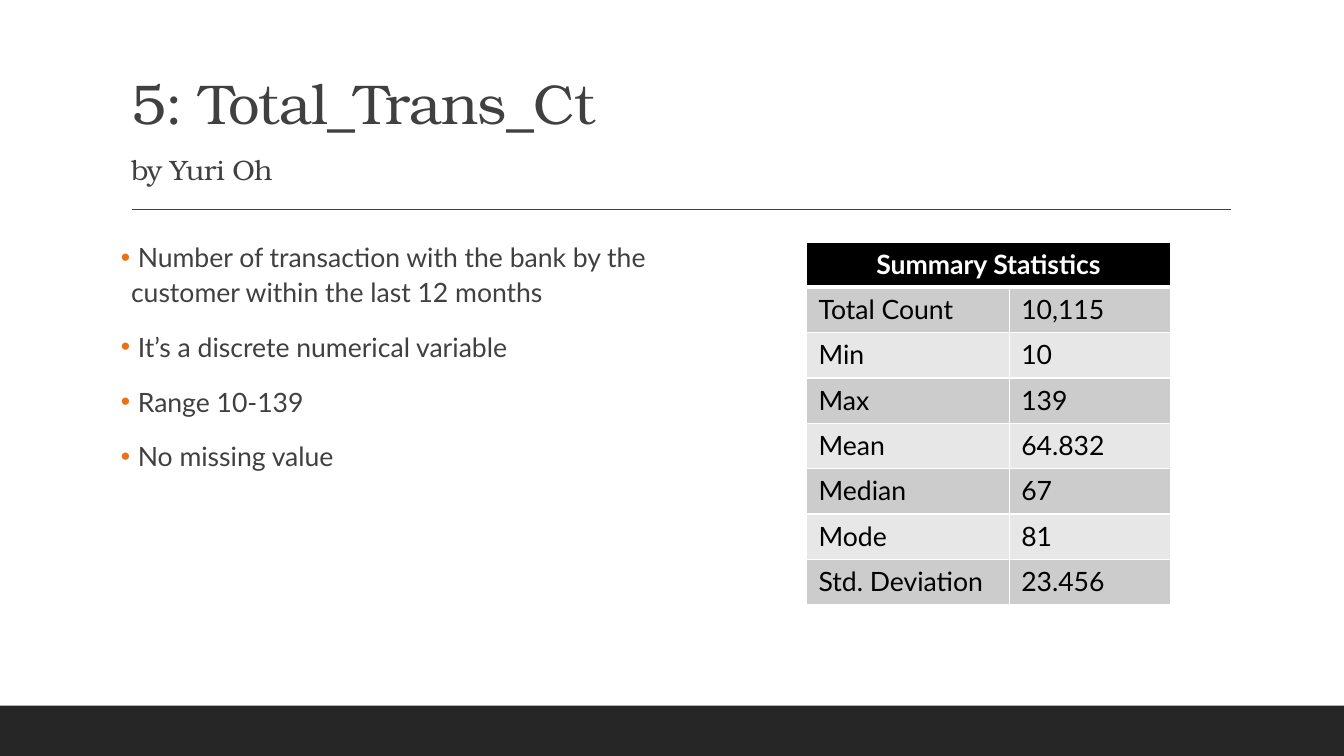
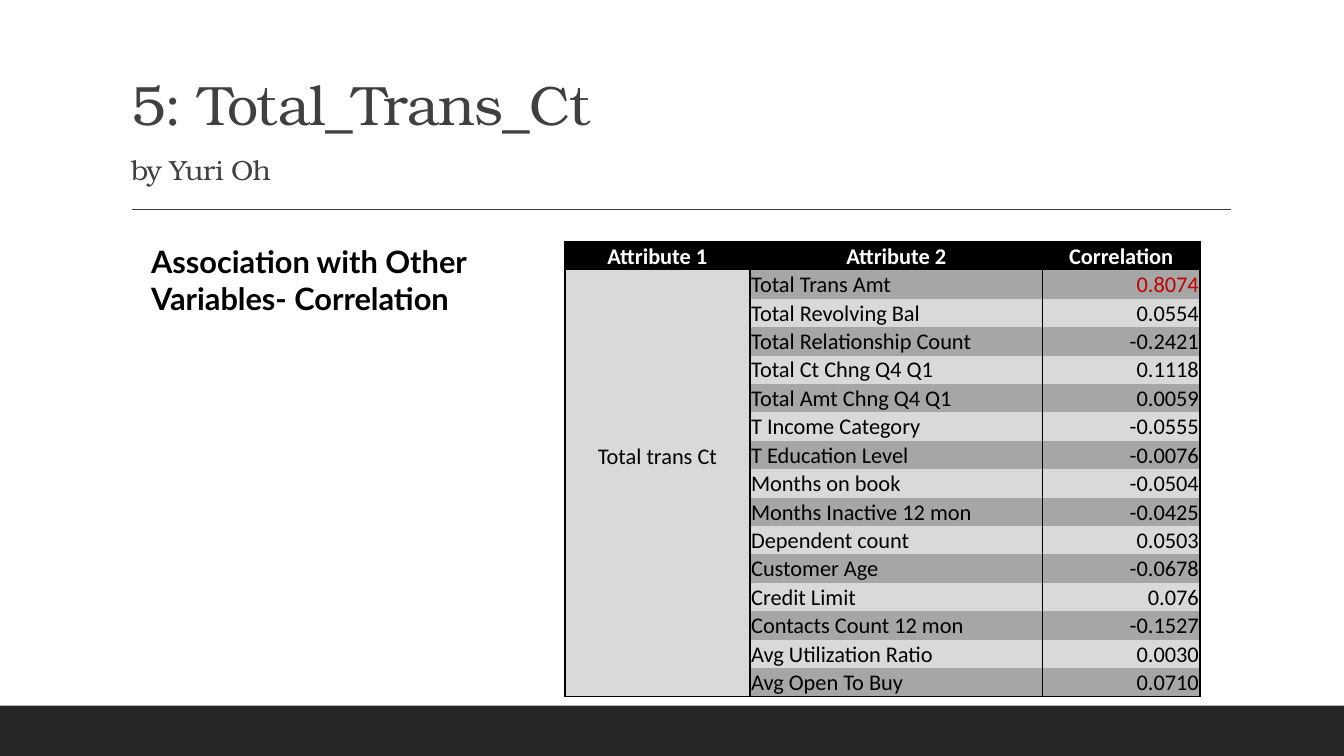
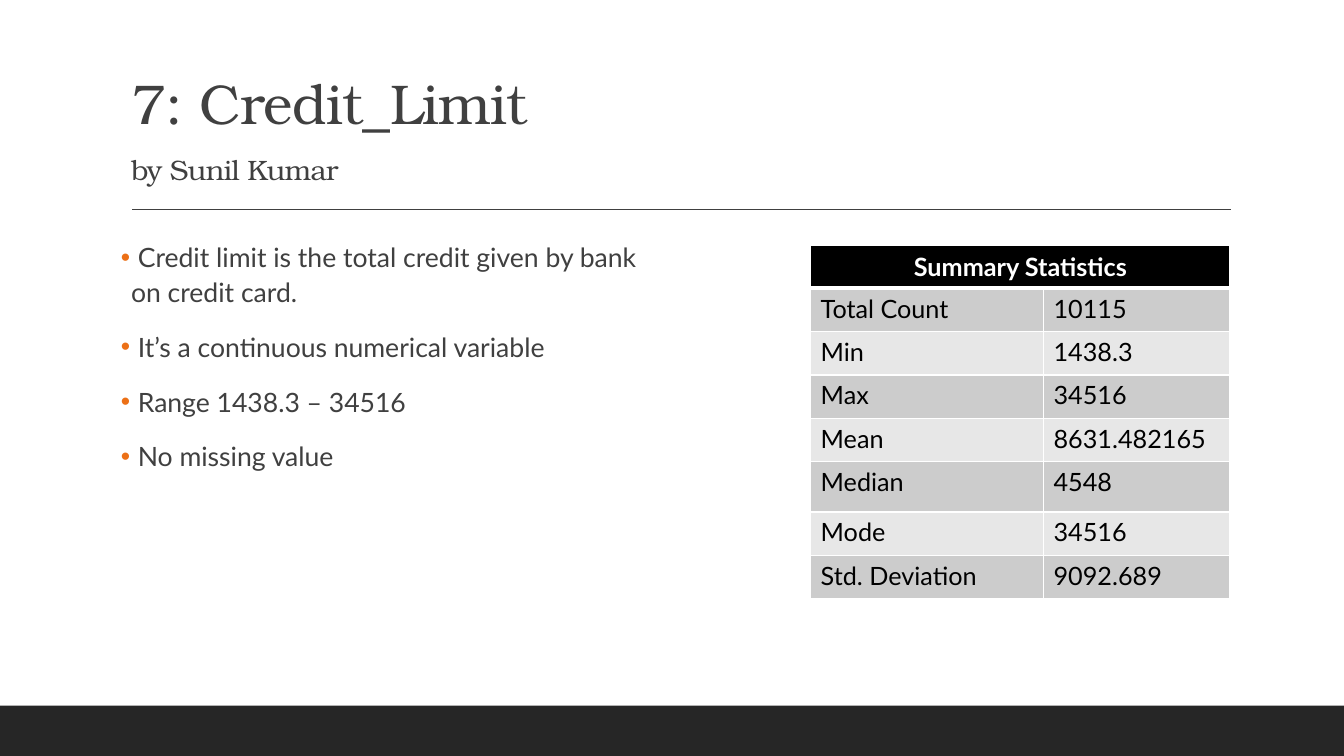
from copy import deepcopy

from lxml.etree import SubElement
from pptx import Presentation
from pptx.dml.color import RGBColor
from pptx.enum.shapes import MSO_CONNECTOR, MSO_SHAPE
from pptx.enum.text import MSO_ANCHOR, MSO_AUTO_SIZE, PP_ALIGN
from pptx.oxml.ns import qn
from pptx.util import Inches, Pt

COLORS = {
    "band": "262626", "text": "404040", "bullet": "EC7016",
    "black": "000000", "white": "FFFFFF", "red": "C00000",
    "stat_odd": "CCCCCC", "stat_even": "E7E7E7",
    "corr_odd": "A6A6A6", "corr_even": "D9D9D9",
}
SERIF, SANS, TABLE_SANS = "TeX Gyre Bonum", "Lato", "Calibri"
TITLE_ONLY, TITLE_BODY = 5, 1
NO_TABLE_STYLE = "{2D5ABB26-0587-4C30-8999-92F81FD0307C}"
MARGINS = ("margin_left", "margin_top", "margin_right", "margin_bottom")


def rgb(name):
    return RGBColor.from_string(COLORS[name])


def box(*lengths):
    return [Inches(n) for n in lengths]


class Deck:
    """Shared style and the slide being built."""

    def __init__(self):
        self.prs = Presentation()
        self.prs.slide_width, self.prs.slide_height = box(13.33, 7.5)
        self.s = None

    def font(self, font, name, size, color, bold=False):
        values = {"name": name, "size": Pt(size), "bold": bold}
        for key, value in values.items():
            setattr(font, key, value)
        font.color.rgb = rgb(color)

    def place(self, sp, at):
        for key, value in zip(("left", "top", "width", "height"), box(*at)):
            setattr(sp, key, value)

    def slide(self, layout, title, author, size=40):
        self.s = self.prs.slides.add_slide(self.prs.slide_layouts[layout])
        self.frame()
        self.title(title, author, size)

    def frame(self):
        # Bottom band
        sp = self.s.shapes.add_shape(MSO_SHAPE.RECTANGLE, *box(0, 7, 13.33, 0.5))
        sp.shadow.inherit = False
        sp.fill.solid()
        sp.fill.fore_color.rgb = rgb("band")
        sp.line.fill.background()
        # Rule below the title
        rule = self.s.shapes.add_connector(
            MSO_CONNECTOR.STRAIGHT, *box(1.31, 2.08, 12.21, 2.08))
        rule.line.color.rgb = rgb("text")
        rule.line.width = Pt(1)
        SubElement(rule._element.spPr, qn("a:effectLst"))

    def title(self, title, author, size):
        sp = self.s.shapes.title
        self.place(sp, (1.2, 0.31, 11, 1.59))
        tf = sp.text_frame
        tf.auto_size = MSO_AUTO_SIZE.NONE
        tf.vertical_anchor = MSO_ANCHOR.BOTTOM
        p = tf.paragraphs[0]
        p.alignment = PP_ALIGN.LEFT
        p.line_spacing = 1.5
        for text, points in ((title, size), (author, size / 2)):
            if p.runs:
                p.add_line_break()
                # The break keeps the size of the line it ends
                p._p[-1].append(deepcopy(p.runs[0]._r.rPr))
            r = p.add_run()
            r.text = text
            self.font(r.font, SERIF, points, "text")
            r._r.rPr.set("spc", "-50")

    def bullets(self, items, at):
        sp = self.s.placeholders[1]
        self.place(sp, at)
        tf = sp.text_frame
        tf.auto_size = MSO_AUTO_SIZE.NONE
        tf.margin_left = tf.margin_right = 0
        for i, item in enumerate(items):
            p = tf.add_paragraph() if i else tf.paragraphs[0]
            p.line_spacing = 1.1
            p.space_before = Pt(12 if i else 0)
            p.space_after = Pt(2)
            pPr = p._p.get_or_add_pPr()
            pPr.set("marL", str(Inches(0.1)))
            pPr.set("indent", str(-Inches(0.1)))
            color = SubElement(pPr, qn("a:buClr"))
            SubElement(color, qn("a:srgbClr"), val=COLORS["bullet"])
            SubElement(pPr, qn("a:buChar"), char="•")
            r = p.add_run()
            r.text = " " + item
            self.font(r.font, SANS, 19, "text")

    def heading(self, text, at):
        tf = self.s.shapes.add_textbox(*box(*at)).text_frame
        tf.word_wrap = True
        r = tf.paragraphs[0].add_run()
        r.text = text
        self.font(r.font, SANS, 22, "black", True)

    def table(self, at, cols, rows):
        frame = self.s.shapes.add_table(
            len(rows), len(cols), *box(*at, sum(cols), sum(rows)))
        frame._element.xpath(".//a:tableStyleId")[0].text = NO_TABLE_STYLE
        table = frame.table
        table.first_row = table.horz_banding = False
        for lines, key, sizes in ((table.columns, "width", cols),
                                  (table.rows, "height", rows)):
            for line, size in zip(lines, sizes):
                setattr(line, key, Inches(size))
        return table

    def cell(self, cell, text, fill, font, margins, borders,
             align=PP_ALIGN.LEFT, anchor=MSO_ANCHOR.MIDDLE):
        """Borders map a side (L, R, T, B) to a colour and a width."""
        tcPr = cell._tc.get_or_add_tcPr()
        for side in "LRTB":
            if side in borders:
                color, width = borders[side]
                ln = SubElement(tcPr, qn("a:ln" + side), w=str(Pt(width)))
                paint = SubElement(ln, qn("a:solidFill"))
                SubElement(paint, qn("a:srgbClr"), val=COLORS[color])
        cell.fill.solid()
        cell.fill.fore_color.rgb = rgb(fill)
        cell.vertical_anchor = anchor
        for key, value in zip(MARGINS, box(*margins)):
            setattr(cell, key, value)
        if text:
            p = cell.text_frame.paragraphs[0]
            p.alignment = align
            r = p.add_run()
            r.text = text
            self.font(r.font, *font)

    def summary(self, values, at, cols, rows, size, margins):
        table = self.table(at, cols, rows)
        table.cell(0, 0).merge(table.cell(0, 1))
        data = [("Summary Statistics", "")] + list(zip(STATISTICS, values))
        for i, row in enumerate(data):
            borders = {side: ("white", 1) for side in "LRTB"}
            if i < 2:
                borders["T" if i else "B"] = ("white", 3)
            for j, text in enumerate(row):
                cell = table.cell(i, j)
                if i == 0:
                    self.cell(cell, text, "black", (SANS, size, "white", True),
                              margins, borders, PP_ALIGN.CENTER)
                else:
                    self.cell(cell, text, "stat_odd" if i % 2 else "stat_even",
                              (SANS, size, "black"), margins, borders,
                              anchor=MSO_ANCHOR.TOP)

    def correlations(self, attribute, pairs, at, cols, row_height):
        last = len(pairs)
        table = self.table(at, cols, [row_height] * (last + 1))
        table.cell(1, 0).merge(table.cell(last, 0))
        margins = (0.01, 0.01, 0.01, 0)
        edge = ("black", 1.5)
        sides = {"L": edge, "R": edge}
        # Header
        for j, text in enumerate(("Attribute 1", "Attribute 2", "Correlation")):
            self.cell(table.cell(0, j), text, "black",
                      (TABLE_SANS, 16, "white", True), margins,
                      {**sides, "T": edge}, PP_ALIGN.CENTER)
        # Body, with the attribute set a little above the middle
        for i, (name, value) in enumerate(pairs, 1):
            borders = {**sides, "B": edge} if i == last else sides
            fill = "corr_odd" if i % 2 else "corr_even"
            first = i == 1
            self.cell(table.cell(i, 0), attribute if first else "", "corr_even",
                      (TABLE_SANS, 16, "black"),
                      (0.01, 0.01, 0.01, 0.53 if first else 0),
                      {**sides, "B": edge} if first else borders,
                      PP_ALIGN.CENTER)
            self.cell(table.cell(i, 1), name, fill, (TABLE_SANS, 16, "black"),
                      margins, borders)
            self.cell(table.cell(i, 2), value, fill,
                      (TABLE_SANS, 16, "red" if first else "black"),
                      margins, borders, PP_ALIGN.RIGHT)


STATISTICS = ("Total Count", "Min", "Max", "Mean", "Median", "Mode",
              "Std. Deviation")
CORRELATIONS = [
    ("Total Trans Amt", "0.8074"),
    ("Total Revolving Bal", "0.0554"),
    ("Total Relationship Count", "-0.2421"),
    ("Total Ct Chng Q4 Q1", "0.1118"),
    ("Total Amt Chng Q4 Q1", "0.0059"),
    ("T Income Category", "-0.0555"),
    ("T Education Level", "-0.0076"),
    ("Months on book", "-0.0504"),
    ("Months Inactive 12 mon", "-0.0425"),
    ("Dependent count", "0.0503"),
    ("Customer Age", "-0.0678"),
    ("Credit Limit", "0.076"),
    ("Contacts Count 12 mon", "-0.1527"),
    ("Avg Utilization Ratio", "0.0030"),
    ("Avg Open To Buy", "0.0710"),
]


def main():
    deck = Deck()

    # Transaction count: summary
    deck.slide(TITLE_BODY, "5: Total_Trans_Ct", "by Yuri Oh")
    deck.bullets(["Number of transaction with the bank by the customer "
                  "within the last 12 months",
                  "It’s a discrete numerical variable",
                  "Range 10-139",
                  "No missing value"], (1.2, 2.31, 6, 4))
    deck.summary(("10,115", "10", "139", "64.832", "67", "81", "23.456"),
                 (8, 2.4), (2.01, 1.6), [0.45] * 8, 19,
                 (0.12, 0.06, 0.12, 0.06))

    # Transaction count: correlation
    deck.slide(TITLE_ONLY, "5: Total_Trans_Ct", "by Yuri Oh", 39.6)
    deck.correlations("Total trans Ct", CORRELATIONS,
                      (5.6, 2.4), (1.84, 2.9, 1.56), 0.28)
    deck.heading("Association with Other Variables- Correlation",
                 (1.4, 2.36, 4.04, 0.84))

    # Credit limit: summary
    deck.slide(TITLE_BODY, "7: Credit_Limit", "by Sunil Kumar")
    deck.bullets(["Credit limit is the total credit given by bank "
                  "on credit card.",
                  "It’s a continuous numerical variable",
                  "Range 1438.3 – 34516",
                  "No missing value"], (1.2, 2.31, 5.47, 4.11))
    deck.summary(("10115", "1438.3", "34516", "8631.482165", "4548", "34516",
                  "9092.689"),
                 (8.04, 2.43), (2.31, 1.85), [0.43] * 5 + [0.5] + [0.43] * 2,
                 18, (0.1, 0.05, 0.1, 0.05))

    deck.prs.save("out.pptx")


if __name__ == "__main__":
    main()
